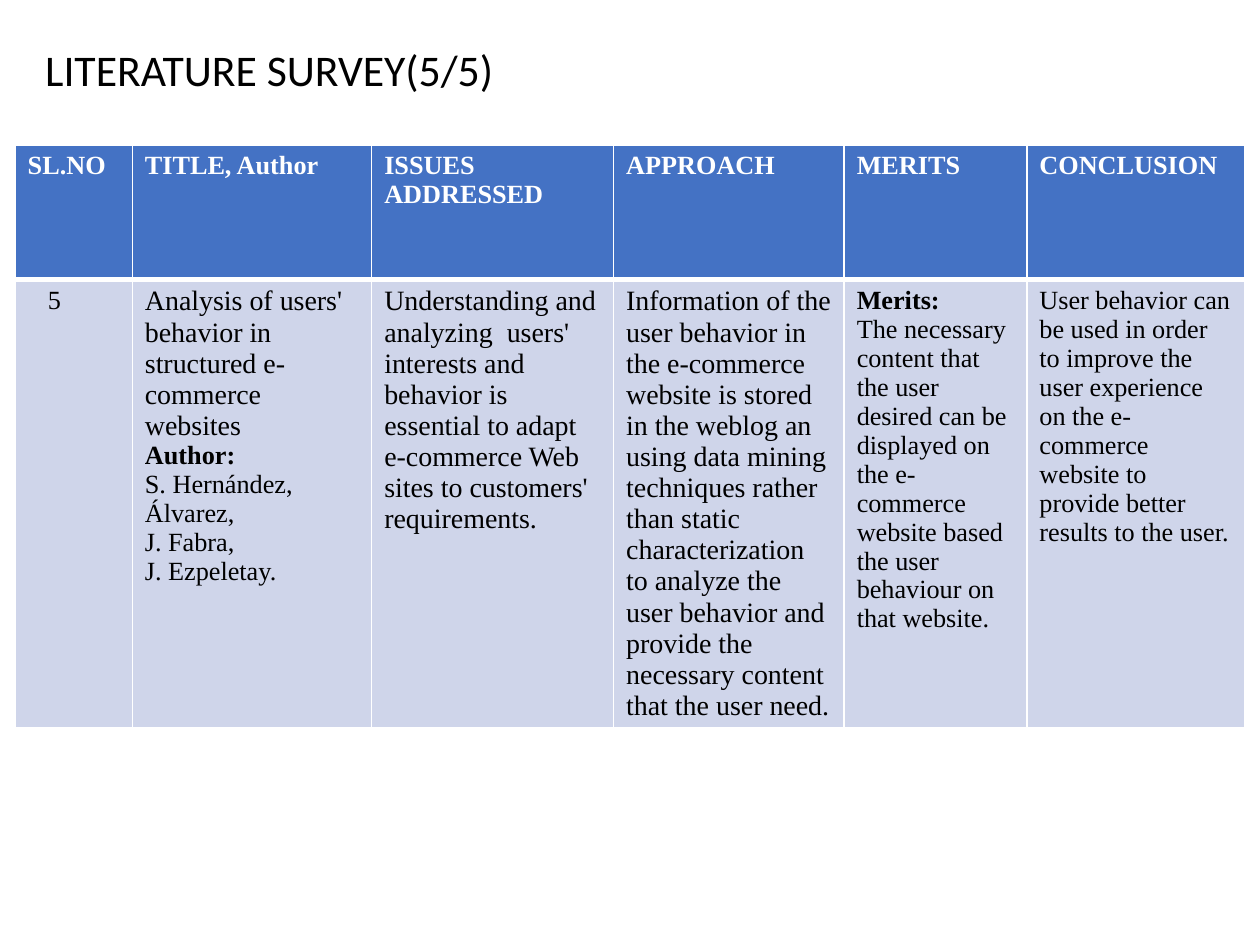
from lxml import etree
from pptx import Presentation
from pptx.dml.color import RGBColor
from pptx.oxml.ns import qn
from pptx.util import Inches, Pt

COLORS = {"header": "4472C4", "body": "CFD5EA", "white": "FFFFFF", "black": "000000"}
GRID_COLUMNS, GRID_ROWS = 100, 75
SERIF, SANS = "Times New Roman", "Calibri"

COLUMN_SPANS = [9.3, 19, 19.2, 18.3, 14.5, 17.3]
HEADERS = ["SL.NO", "TITLE, Author", "ISSUES ADDRESSED", "APPROACH", "MERITS", "CONCLUSION"]
# Each paragraph is (text, size, bold).
SURVEY_ROW = [
    [("5", 15, False)],
    [("Analysis of users' behavior in structured e-commerce websites", 16, False),
     ("Author:", 15, True),
     ("S. Hernández, Álvarez,", 15, False),
     ("J. Fabra,", 15, False),
     ("J. Ezpeletay.", 15, False)],
    [("Understanding and analyzing  users' interests and behavior is essential to adapt "
      "e-commerce Web sites to customers' requirements.", 16, False)],
    [("Information of the user behavior in the e-commerce website is stored in the weblog "
      "an using data mining techniques rather than static characterization to analyze the "
      "user behavior and provide the necessary content that the user need.", 16, False)],
    [("Merits:", 15, True),
     ("The necessary content that the user desired can be displayed on the e-commerce "
      "website based the user behaviour on that website.", 15, False)],
    [("User behavior can be used in order to improve the user experience on the e-commerce "
      "website to provide better results to the user.", 15, False)],
]


class SurveySlide:
    """Holds the style and the slide being built."""

    def __init__(self, prs):
        """Add a blank slide and derive the grid unit sizes."""
        self.slide = prs.slides.add_slide(prs.slide_layouts[6])
        self.column = prs.slide_width / GRID_COLUMNS
        self.row = prs.slide_height / GRID_ROWS

    def place(self, left, top, width, height):
        """Turn grid columns and rows into lengths."""
        return (round(left * self.column), round(top * self.row),
                round(width * self.column), round(height * self.row))

    def add_text(self, frame, paragraphs, color, font):
        """Fill a text frame with styled paragraphs."""
        frame.word_wrap = True
        for i, (text, size, bold) in enumerate(paragraphs):
            paragraph = frame.add_paragraph() if i else frame.paragraphs[0]
            run = paragraph.add_run()
            run.text = text
            run.font.size, run.font.bold, run.font.name = Pt(size), bold, font
            run.font.color.rgb = RGBColor.from_string(COLORS[color])

    def title(self, text, left, top, width, height):
        """Add the slide title."""
        box = self.slide.shapes.add_textbox(*self.place(left, top, width, height))
        self.add_text(box.text_frame, [(text, 25, False)], "black", SANS)

    def borders(self, cell, **widths):
        """Draw white cell borders with widths in points."""
        properties = cell._tc.get_or_add_tcPr()
        for i, side in enumerate("LRTB"):
            line = etree.Element(qn("a:ln" + side), w=str(Pt(widths.get(side, 1))))
            fill = etree.SubElement(line, qn("a:solidFill"))
            etree.SubElement(fill, qn("a:srgbClr"), val=COLORS["white"])
            properties.insert(i, line)

    def table(self, rows, spans, heights, left, top):
        """Add a table with a header row and one or more body rows."""
        area = self.place(left, top, sum(spans), sum(heights))
        table = self.slide.shapes.add_table(len(rows), len(spans), *area).table
        for column, span in zip(table.columns, spans):
            column.width = round(span * self.column)
        for r, (row, height) in enumerate(zip(rows, heights)):
            table.rows[r].height = round(height * self.row)
            for c, paragraphs in enumerate(row):
                cell = table.cell(r, c)
                cell.fill.solid()
                cell.fill.fore_color.rgb = RGBColor.from_string(COLORS["body" if r else "header"])
                self.add_text(cell.text_frame, paragraphs, "black" if r else "white", SERIF)
                self.borders(cell, **({"T": 3} if r == 1 else {} if r else {"B": 3}))
        return table

    def indent(self, cell, columns):
        """Indent the first paragraph of a cell."""
        properties = cell.text_frame.paragraphs[0]._p.get_or_add_pPr()
        properties.set("marL", str(round(columns * self.column)))


def main():
    """Build and save the literature survey slide."""
    prs = Presentation()
    prs.slide_width, prs.slide_height = Inches(10), Inches(7.5)
    survey = SurveySlide(prs)
    header = [[(text, 15, True)] for text in HEADERS]
    table = survey.table([header, SURVEY_ROW], COLUMN_SPANS, [10.7, 35], 1.2, 11.5)
    survey.indent(table.cell(1, 0), 1.6)
    survey.title("LITERATURE SURVEY(5/5)", 2.6, 2.9, 85.8, 5.2)
    prs.save("out.pptx")


main()
